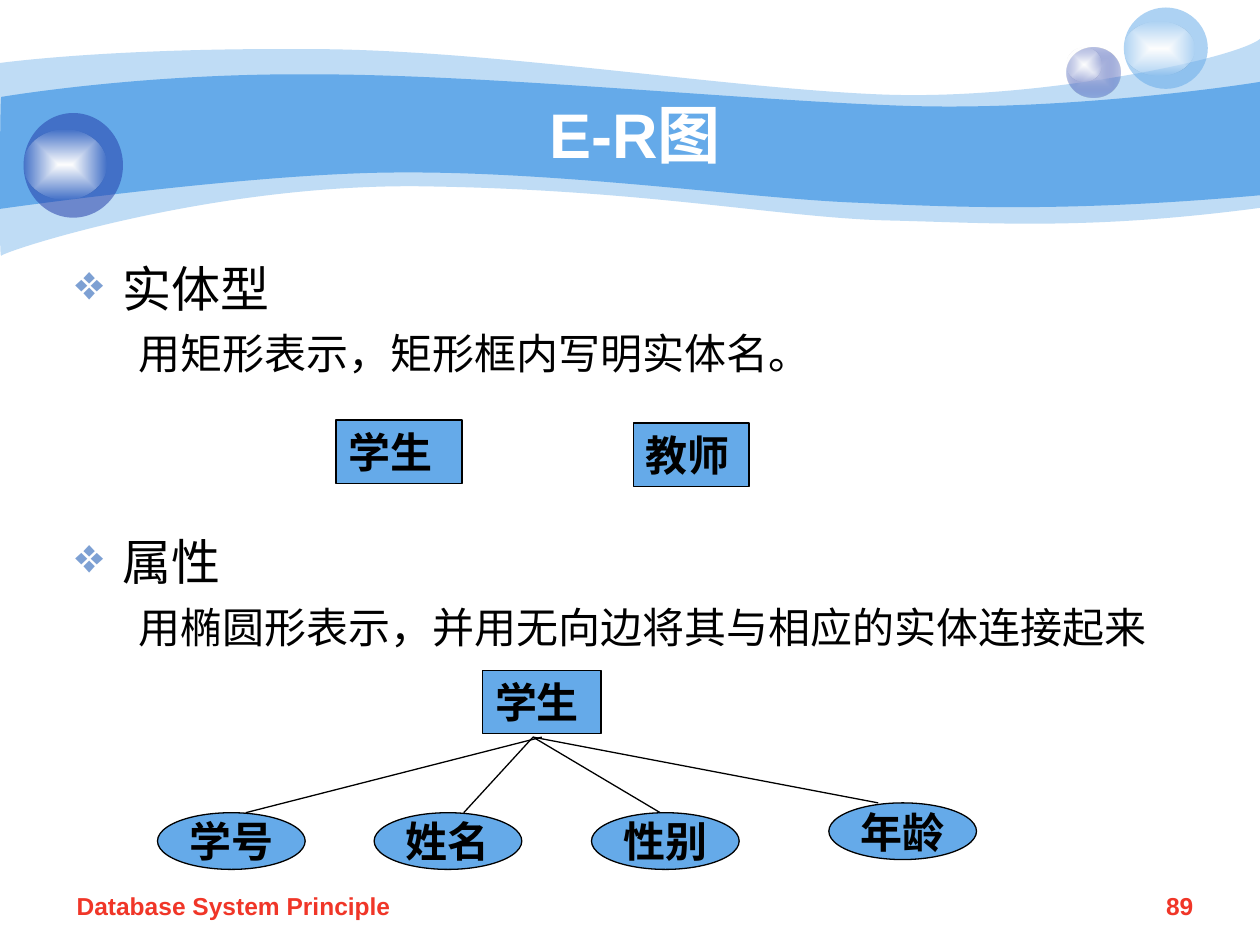
import pptx
import pptx.dml.color
import pptx.enum.shapes
import pptx.enum.text
import pptx.oxml
import pptx.oxml.ns
import pptx.util

Pt = pptx.util.Pt
RGBColor = pptx.dml.color.RGBColor
SHAPE = pptx.enum.shapes.MSO_SHAPE
ALIGN = pptx.enum.text.PP_ALIGN
ANCHOR = pptx.enum.text.MSO_ANCHOR
qn = pptx.oxml.ns.qn
SPACE = pptx.oxml.ns.nsdecls("a")

SKY = RGBColor(0x65, 0xAA, 0xE9)
NAVY = RGBColor(0x23, 0x3D, 0xA9)
LAVENDER = RGBColor(0xC7, 0xCE, 0xE9)
BULLET = RGBColor(0x7D, 0xA0, 0xD3)
RED = RGBColor(0xF0, 0x36, 0x28)
WHITE = RGBColor(0xFF, 0xFF, 0xFF)
BLACK = RGBColor(0, 0, 0)

OUTER_TOP = [(0, 36), (17.3, 33.8), (77, 27.4), (177.8, 28.1), (277.9, 28.1), (414, 50.4),
             (503.3, 54), (591.8, 57.6), (705.6, 33.8), (720, 22.3)]
OUTER_BOTTOM = [(720, 118.8), (622, 131.8), (566.6, 127.4), (507.6, 126), (447.8, 124.6),
                (370.8, 108.7), (247, 106.6), (123.8, 103.7), (2.9, 143.3), (0.7, 146.2),
                (-0.7, 149.8), (0, 54), (0, 36)]
INNER_TOP = [(0.7, 55.4), (1.4, 55.4), (79.2, 41.8), (178.6, 42.5), (277.9, 42.5), (428.4, 57.6),
             (517, 60.5), (605.5, 63.4), (702.7, 49.7), (720, 46.8)]
INNER_BOTTOM = [(720, 111.6), (614.2, 121), (550.8, 118.8), (491, 115.9), (431.3, 113.8),
                (321.8, 97.9), (228.2, 98.6), (146.2, 98.6), (-1.4, 119.5), (-0.7, 119.5),
                (0, 119.5), (0, 55.4), (0.7, 55.4)]


def bend(segments):
    """Turn each three straight segments into one cubic curve."""
    for start in range(0, len(segments), 3):
        group = segments[start:start + 3]
        curve = pptx.oxml.parse_xml(f"<a:cubicBezTo {SPACE}/>")
        group[0].addprevious(curve)
        for segment in group:
            curve.append(segment[0])
            segment.getparent().remove(segment)


def paint(shape, color, opacity=100):
    """Fill a shape plainly, without line or shadow."""
    shape.shadow.inherit = False
    shape.line.fill.background()
    shape.fill.solid()
    shape.fill.fore_color.rgb = color
    if opacity < 100:
        tint = shape._element.spPr.find(qn("a:solidFill")).find(qn("a:srgbClr"))
        tint.append(pptx.oxml.parse_xml(f'<a:alpha {SPACE} val="{opacity * 1000}"/>'))


def paint_glow(shape, center, edge, opacity):
    """Fill a shape with a gradient from its center to a translucent edge."""
    paint(shape, center)
    solid = shape._element.spPr.find(qn("a:solidFill"))
    glow = pptx.oxml.parse_xml(
        f'<a:gradFill {SPACE} rotWithShape="1"><a:gsLst>'
        f'<a:gs pos="0"><a:srgbClr val="{center}"/></a:gs>'
        f'<a:gs pos="100000"><a:srgbClr val="{edge}"><a:alpha val="{opacity * 1000}"/></a:srgbClr></a:gs>'
        '</a:gsLst><a:path path="rect">'
        '<a:fillToRect l="50000" t="50000" r="50000" b="50000"/></a:path></a:gradFill>')
    solid.getparent().replace(solid, glow)


def add_wave(page, box, top, bottom, opacity=100):
    """Draw a wavy band between two curved edges."""
    left, upper = box[:2]
    points = [(Pt(left + x), Pt(upper + y)) for x, y in top + bottom]
    builder = page.shapes.build_freeform(*points[0], scale=1.0)
    builder.add_line_segments(points[1:], close=True)
    wave = builder.convert_to_shape()
    segments = list(wave._element.iter(qn("a:lnTo")))
    bend(segments[:len(top) - 1])
    bend(segments[len(top):len(top) + len(bottom) - 1])
    paint(wave, SKY, opacity)


def add_shape(page, kind, box):
    """Add a preset shape in a box given in points."""
    return page.shapes.add_shape(kind, *(Pt(length) for length in box))


def add_bubble(page, box, shine, color, opacity, center=None):
    """Draw a ball with a white shine, given as top, width and height in the ball."""
    left, top = box[:2]
    ball = add_shape(page, SHAPE.OVAL, box)
    if center:
        paint_glow(ball, center, color, opacity)
    else:
        paint(ball, color, opacity)
    gleam = add_shape(page, SHAPE.OVAL, (left, top + shine[0], shine[1], shine[2]))
    paint_glow(gleam, WHITE, WHITE, 0)


def add_header(page, box):
    """Draw the banner with its waves and bubbles."""
    left, top = box[:2]
    add_wave(page, box, OUTER_TOP, OUTER_BOTTOM, 41)
    add_wave(page, box, INNER_TOP, INNER_BOTTOM)
    add_bubble(page, (left + 609.5, top + 27, 30.5, 29), (0, 20, 19.5), NAVY, 31, LAVENDER)
    add_bubble(page, (left + 642.2, top + 4.3, 48, 46.5), (8, 40.5, 31), SKY, 53)
    add_bubble(page, (left + 13.5, top + 64.6, 56.8, 59.8), (9.5, 47.5, 40), NAVY, 53)


def style_text(para, size, color, name="Arial", bold=False):
    """Format every run of a paragraph."""
    for span in para.runs:
        span.font.size = Pt(size)
        span.font.name = name
        span.font.bold = bold
        span.font.color.rgb = color


def add_label(page, box, text, size, color, align=ALIGN.LEFT, anchor=ANCHOR.TOP):
    """Add a bold line of text."""
    frame = page.shapes.add_textbox(*(Pt(length) for length in box)).text_frame
    frame.word_wrap = True
    frame.vertical_anchor = anchor
    frame.text = text
    frame.paragraphs[0].alignment = align
    style_text(frame.paragraphs[0], size, color, bold=True)


def add_topics(page, box, topics):
    """Add bulleted headings, each with an explanation and room for a figure."""
    frame = page.shapes.add_textbox(*(Pt(length) for length in box)).text_frame
    frame.word_wrap = True
    for index, (heading, detail) in enumerate(topics):
        head = frame.add_paragraph() if index else frame.paragraphs[0]
        head.text = heading
        if index:
            head.space_before = Pt(88)
        body = frame.add_paragraph()
        body.text = detail
        body.level = 1
        body.space_before = Pt(6)
        for para, margin, indent in ((head, 27, -27), (body, 58.5, -22.5)):
            properties = para._p.get_or_add_pPr()
            properties.set("marL", str(Pt(margin)))
            properties.set("indent", str(Pt(indent)))
        for mark in (f'<a:buClr {SPACE}><a:srgbClr val="{BULLET}"/></a:buClr>',
                     f'<a:buChar {SPACE} char="❖"/>'):
            head._p.pPr.append(pptx.oxml.parse_xml(mark))
        style_text(head, 28, BLACK)
        style_text(body, 24, BLACK)


def add_node(page, kind, box, text):
    """Add an entity rectangle or an attribute ellipse."""
    node = add_shape(page, kind, box)
    paint(node, SKY)
    node.line.color.rgb = BLACK
    node.line.width = Pt(0.75)
    oval = kind == SHAPE.OVAL
    frame = node.text_frame
    frame.word_wrap = not oval
    frame.vertical_anchor = ANCHOR.MIDDLE if oval else ANCHOR.TOP
    frame.text = text
    frame.paragraphs[0].alignment = ALIGN.CENTER if oval else ALIGN.LEFT
    style_text(frame.paragraphs[0], 24, BLACK, "Times New Roman", True)


def add_edge(page, start, end):
    """Join two points with a thin black line."""
    edge = page.shapes.add_connector(pptx.enum.shapes.MSO_CONNECTOR.STRAIGHT,
                                     *(Pt(length) for length in start + end))
    edge.line.color.rgb = BLACK
    edge.line.width = Pt(0.75)
    edge._element.spPr.append(pptx.oxml.parse_xml(f"<a:effectLst {SPACE}/>"))


def add_entity_diagram(page, box):
    """Draw an entity above its attributes, joined by lines."""
    left, top = box[:2]
    add_node(page, SHAPE.RECTANGLE, (left + 185.8, top, 67.7, 36.2), "学生")
    attributes = (("学号", 0, 81.4, 219.6, 50.4), ("姓名", 123.8, 81.4, 214.6, 175),
                  ("性别", 248, 81.4, 214.6, 287.3), ("年龄", 383.6, 75.8, 214.6, 411.8))
    for text, x, y, start, end in attributes:
        add_node(page, SHAPE.OVAL, (left + x, top + y, 84.4, 32.4), text)
        add_edge(page, (left + start, top + 38.2), (left + end, top + y))


def main():
    """Build the slide and save it."""
    deck = pptx.Presentation()
    deck.slide_width, deck.slide_height = Pt(720), Pt(540)
    page = deck.slides.add_slide(deck.slide_layouts[6])
    add_header(page, (0, 0, 720, 150))
    add_label(page, (72, 54, 582, 44.6), "E-R图", 36, WHITE, ALIGN.CENTER, ANCHOR.MIDDLE)
    add_topics(page, (36, 144, 648, 354), (
        ("实体型", "用矩形表示，矩形框内写明实体名。"),
        ("属性", "用椭圆形表示，并用无向边将其与相应的实体连接起来")))
    add_node(page, SHAPE.RECTANGLE, (192, 240, 72, 36.2), "学生")
    add_node(page, SHAPE.RECTANGLE, (362, 241.7, 66, 36.2), "教师")
    add_entity_diagram(page, (90, 383, 468, 114))
    add_label(page, (638, 505.5, 51, 25), "89", 14, RED, ALIGN.RIGHT)
    add_label(page, (36.7, 505.5, 283.7, 25), "Database System Principle", 14, RED)
    deck.save("out.pptx")


if __name__ == "__main__":
    main()
